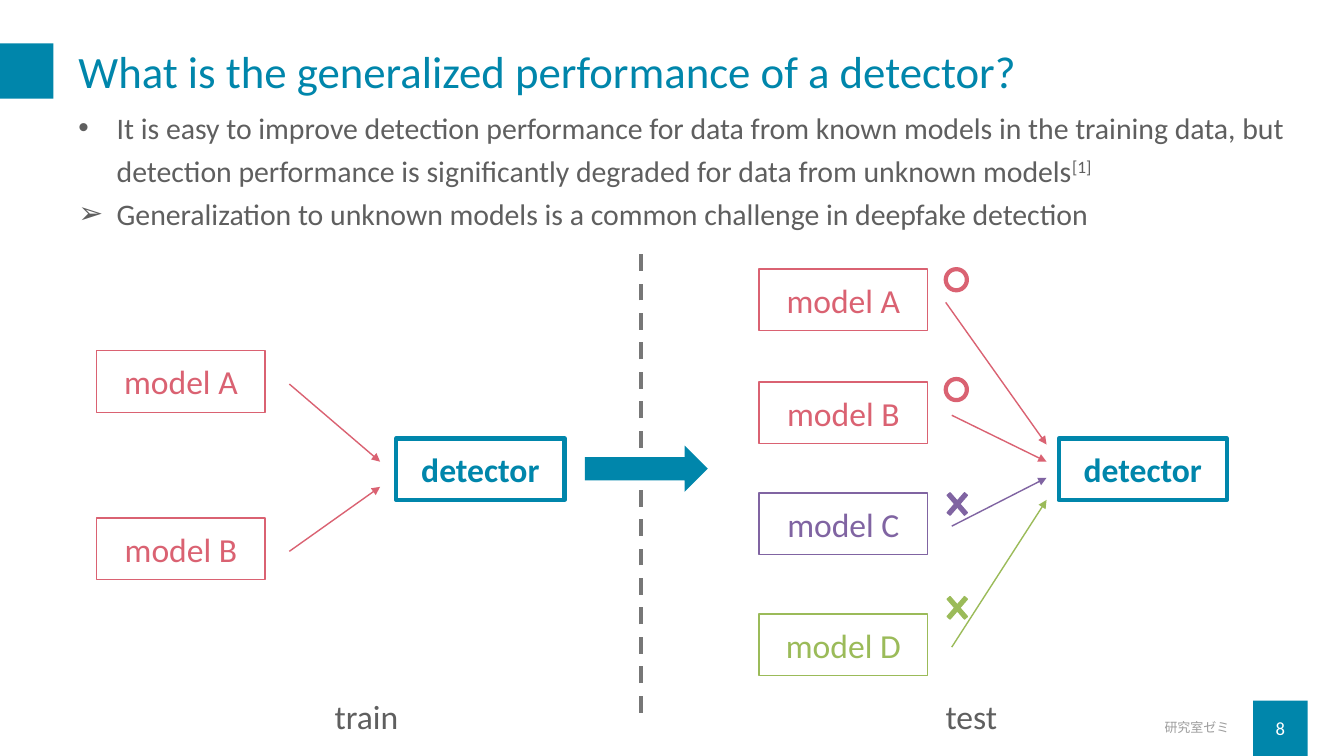
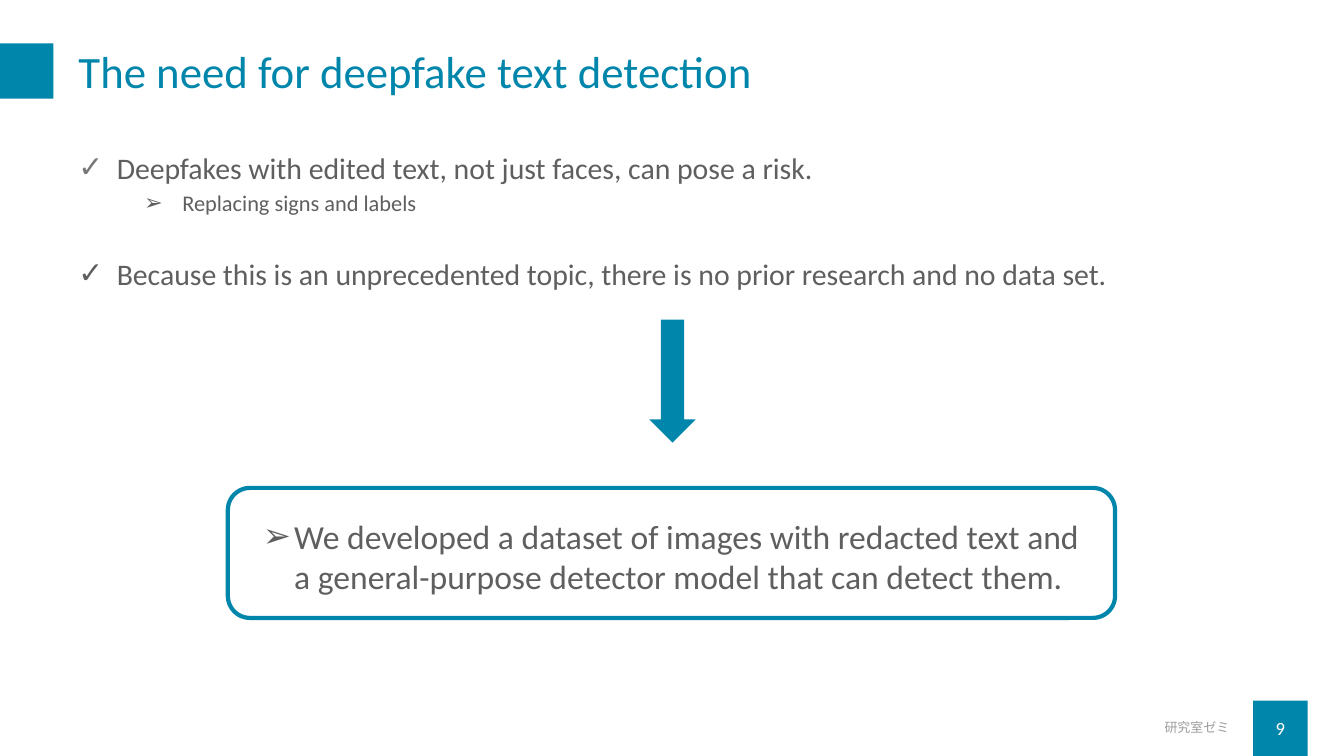
from dataclasses import dataclass

from lxml import etree
from pptx import Presentation
from pptx.dml.color import RGBColor
from pptx.enum import dml, shapes, text
from pptx.oxml import ns
from pptx.util import Inches, Pt

FONT = "Calibri"
TEAL, GREY, WHITE = "0086AB", "5F5F5F", "FFFFFF"
MID_GREY, PALE_GREY = "777777", "9D9D9D"
PINK, PURPLE, GREEN = "DA6272", "8064A2", "9BBB59"
SHAPE, ALIGN = shapes.MSO_SHAPE, text.PP_ALIGN
MIDDLE, TOP = text.MSO_ANCHOR.MIDDLE, text.MSO_ANCHOR.TOP
BOX_W, BOX_H = 1.67, 0.61


@dataclass
class Model:
    """Vertical offsets: top and mark from the panel, arrow_end from the detector."""
    name: str
    color: str
    top: float
    arrow_end: float
    mark: str = ""
    mark_top: float = 0
    arrow_start: float = 1.91


def rgb(color):
    return RGBColor.from_string(color)


def sub(parent, tag, **attributes):
    return etree.SubElement(parent, ns.qn(tag), attributes)


def style_run(run, size, color, bold=False):
    run.font.name, run.font.size, run.font.bold = FONT, Pt(size), bold
    run.font.color.rgb = rgb(color)


def add_shape(slide, kind, left, top, width, height, fill=None, line=None, weight=1):
    shape = slide.shapes.add_shape(
        kind, Inches(left), Inches(top), Inches(width), Inches(height))
    shape.shadow.inherit = False
    if fill:
        shape.fill.solid()
        shape.fill.fore_color.rgb = rgb(fill)
    else:
        shape.fill.background()
    if line:
        shape.line.color.rgb = rgb(line)
        shape.line.width = Pt(weight)
    else:
        shape.line.fill.background()
    return shape


def write(frame, words, size, color, align=ALIGN.LEFT, bold=False):
    frame.vertical_anchor = MIDDLE
    frame.text = words
    frame.paragraphs[0].alignment = align
    style_run(frame.paragraphs[0].runs[0], size, color, bold)


def text_box(slide, left, top, width, height, anchor=MIDDLE, wrap=True):
    frame = slide.shapes.add_textbox(
        Inches(left), Inches(top), Inches(width), Inches(height)).text_frame
    frame.word_wrap = wrap
    frame.vertical_anchor = anchor
    return frame


def add_line(slide, start, end, color, weight=1):
    line = slide.shapes.add_connector(
        shapes.MSO_CONNECTOR.STRAIGHT, *map(Inches, (*start, *end)))
    line.line.color.rgb = rgb(color)
    line.line.width = Pt(weight)
    sub(line._element.spPr, "a:effectLst")
    return line


def add_arrow(slide, start, end, color):
    arrow = add_line(slide, start, end, color)
    sub(arrow.line._get_or_add_ln(), "a:tailEnd", type="triangle")


def bullet_paragraph(frame, words, size, bullet, indent=0.38, hang=0.38,
                     spacing=1.2, before=0, bullet_color=GREY):
    first = frame.paragraphs[0]
    paragraph = frame.add_paragraph() if first.runs else first
    paragraph.line_spacing = spacing
    paragraph.space_before = Pt(before)
    properties = paragraph._p.get_or_add_pPr()
    properties.set("marL", str(Inches(indent)))
    properties.set("indent", str(-Inches(hang)))
    sub(sub(properties, "a:buClr"), "a:srgbClr", val=bullet_color)
    sub(properties, "a:buFont", typeface="Arial")
    sub(properties, "a:buChar", char=bullet)
    paragraph.text = words
    style_run(paragraph.runs[0], size, GREY)
    return paragraph


def new_slide(deck, title, number):
    """Add a slide with the shared title, accent blocks and footer."""
    slide = deck.slides.add_slide(deck.slide_layouts[6])
    add_shape(slide, SHAPE.RECTANGLE, -0.01, 0.43, 0.54, 0.55, TEAL)
    add_shape(slide, SHAPE.RECTANGLE, 12.43, 6.95, 0.54, 0.55, TEAL)
    heading = text_box(slide, 0.68, 0.34, 12.17, 0.79)
    write(heading, title, 32, TEAL)
    heading.paragraphs[0].line_spacing = 0.9
    write(text_box(slide, 12.43, 7.02, 0.54, 0.4), str(number), 13.3, WHITE,
          ALIGN.CENTER)
    write(text_box(slide, 7.79, 7.02, 4.5, 0.4), "研究室ゼミ", 9.3, PALE_GREY,
          ALIGN.RIGHT)
    return slide


def labelled_box(slide, left, top, label, color, weight=1, bold=False):
    box = add_shape(slide, SHAPE.RECTANGLE, left, top, BOX_W, BOX_H, WHITE, color, weight)
    write(box.text_frame, label, 24, color, ALIGN.CENTER, bold)


def result_mark(slide, left, top, mark, color):
    if mark == "circle":
        add_shape(slide, SHAPE.OVAL, left + 0.05, top, 0.21, 0.21, None, color, 3)
    elif mark == "cross":
        cross = add_shape(slide, SHAPE.MATH_MULTIPLY, left, top, 0.33, 0.38, color, color)
        cross.adjustments[0] = 0.114


def detector_panel(slide, left, top, models, caption, caption_left, caption_width):
    """Models on the left, each with an arrow to one detector, and a caption below."""
    detector_left, detector_top = left + 2.97, top + 1.95
    labelled_box(slide, detector_left, detector_top, "detector", TEAL, 3, True)
    for model in models:
        model_top = top + model.top
        labelled_box(slide, left, model_top, model.name, model.color)
        add_arrow(slide, (left + model.arrow_start, model_top + 0.33),
                  (detector_left - 0.16 + 0.04 * bool(model.mark),
                   detector_top + model.arrow_end), model.color)
        result_mark(slide, left + 1.8, top + model.mark_top, model.mark, model.color)
    label = text_box(slide, left + caption_left, top + 4.45, caption_width, 0.5,
                     wrap=False)
    write(label, caption, 24, GREY)


def performance_slide(deck):
    slide = new_slide(deck, "What is the generalized performance of a detector?", 8)
    body = text_box(slide, 0.68, 0.9, 12.17, 1.51)
    claim = bullet_paragraph(
        body, "It is easy to improve detection performance for data from known "
        "models in the training data, but detection performance is significantly "
        "degraded for data from unknown models", 21.3, "•")
    citation = claim.add_run()
    citation.text = "[1]"
    style_run(citation, 21.3, GREY)
    citation._r.get_or_add_rPr().set("baseline", "30000")
    bullet_paragraph(body, "Generalization to unknown models is a common challenge "
                     "in deepfake detection", 21.3, "➢")

    divider = add_line(slide, (6.36, 7.07), (6.36, 2.4), MID_GREY, 3)
    divider.line.dash_style = dml.MSO_LINE.DASH
    train = [Model("model A", PINK, 1.08, 0.23), Model("model B", PINK, 2.74, 0.48)]
    test = [Model("model A", PINK, 0.27, 0.06, "circle", 0.27, 1.85),
            Model("model B", PINK, 1.39, 0.23, "circle", 1.36),
            Model("model C", PURPLE, 2.49, 0.39, "cross", 2.41),
            Model("model D", GREEN, 3.69, 0.61, "cross", 3.44)]
    detector_panel(slide, 0.96, 2.4, train, "train", 2.26, 0.84)
    detector_panel(slide, 7.53, 2.4, test, "test", 1.75, 0.72)
    add_shape(slide, SHAPE.RIGHT_ARROW, 5.8, 4.42, 1.22, 0.46, TEAL)


def conclusion_box(slide, left, top, width, height):
    outline = add_shape(slide, SHAPE.ROUNDED_RECTANGLE, left, top, width, height,
                        None, TEAL, 3)
    outline.adjustments[0] = 0.17
    conclusion = text_box(slide, left + 0.25, top + 0.23, width - 0.3, 0.91, TOP)
    bullet_paragraph(
        conclusion, "We developed a dataset of images with redacted text and a "
        "general-purpose detector model that can detect them.", 24, "➢",
        0.31, 0.31, 1.0)


def need_slide(deck):
    slide = new_slide(deck, "The need for deepfake text detection", 9)
    body = text_box(slide, 0.68, 1.01, 12.29, 2.28)
    bullet_paragraph(body, "Deepfakes with edited text, not just faces, can pose a risk.",
                     21.3, "✓", bullet_color=MID_GREY)
    example = bullet_paragraph(body, "Replacing signs and labels", 16, "➢", 1.03,
                               spacing=0.9, before=5)
    example.level = 1
    bullet_paragraph(body, "Because this is an unprecedented topic, there is no prior "
                     "research and no data set.", 21.3, "✓", before=23)
    add_shape(slide, SHAPE.DOWN_ARROW, 6.44, 3.17, 0.46, 1.22, TEAL)
    conclusion_box(slide, 2.26, 4.84, 8.8, 1.29)


def main():
    deck = Presentation()
    deck.slide_width, deck.slide_height = Inches(13.33), Inches(7.5)
    performance_slide(deck)
    need_slide(deck)
    deck.save("out.pptx")


if __name__ == "__main__":
    main()
